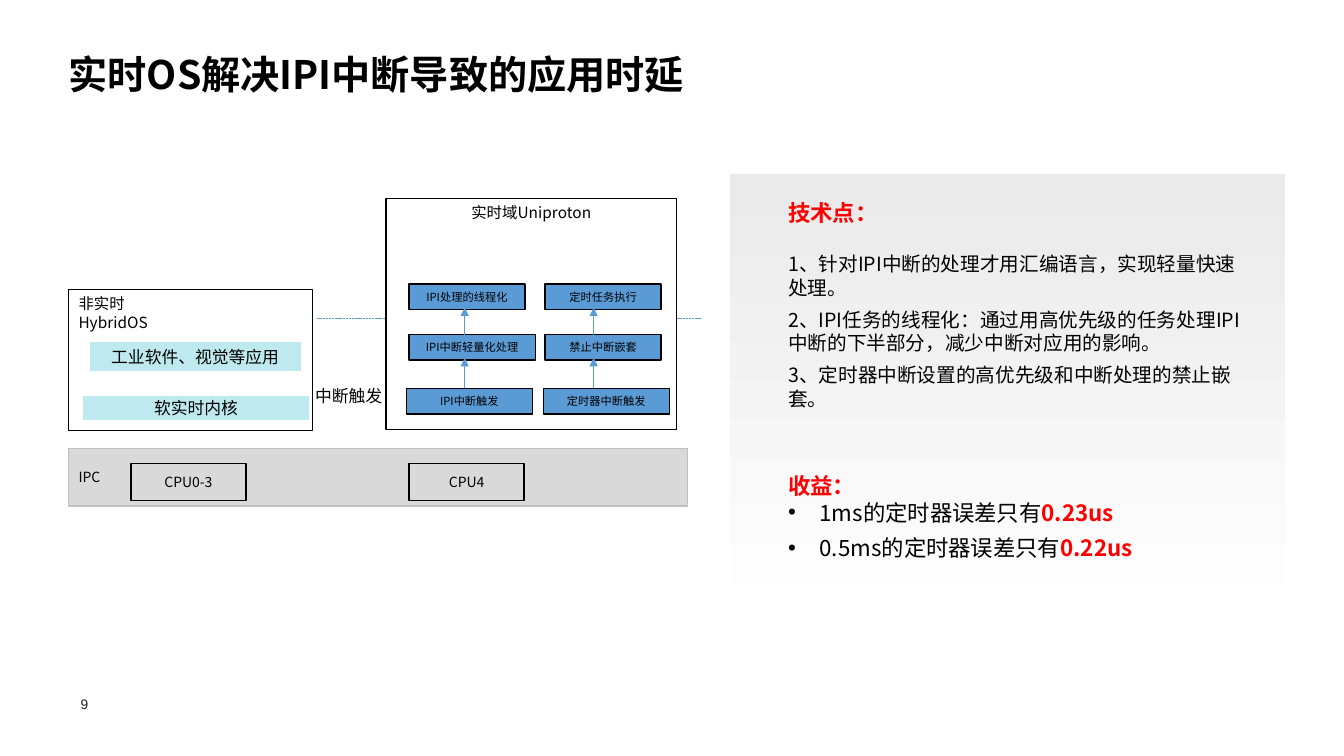
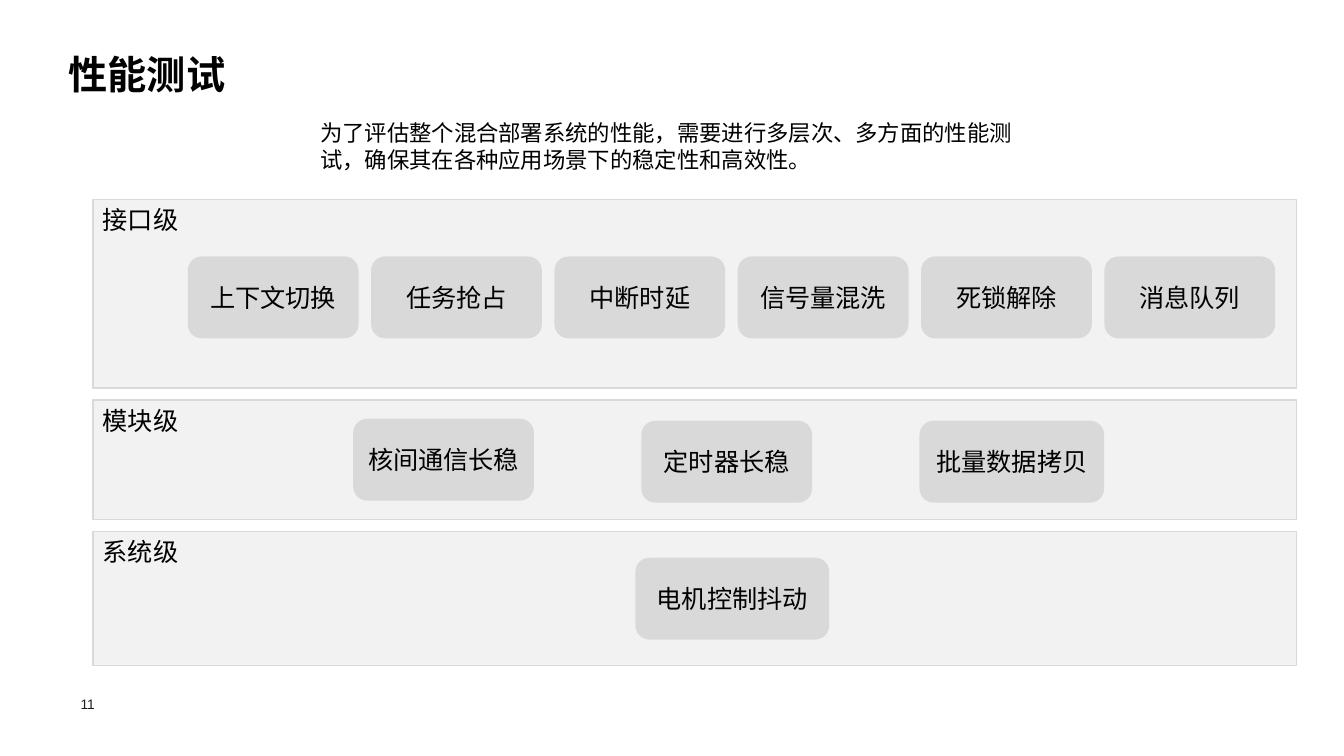
from lxml import etree
from pptx import Presentation
from pptx.dml.color import RGBColor
from pptx.enum.dml import MSO_LINE
from pptx.enum.shapes import MSO_CONNECTOR, MSO_SHAPE
from pptx.enum.text import MSO_ANCHOR, MSO_AUTO_SIZE, PP_ALIGN
from pptx.oxml.ns import qn
from pptx.util import Cm, Pt

BLACK = RGBColor(0x00, 0x00, 0x00)
WHITE = RGBColor(0xFF, 0xFF, 0xFF)
RED = RGBColor(0xFF, 0x00, 0x00)
BLUE = RGBColor(0x5B, 0x9B, 0xD5)
AQUA = RGBColor(0xBE, 0xE9, 0xEE)
PALE_GREY = RGBColor(0xF2, 0xF2, 0xF2)
GRADIENT_GREY = RGBColor(0xEA, 0xEA, 0xEA)
GREY = RGBColor(0xD9, 0xD9, 0xD9)
EDGE_GREY = RGBColor(0xBF, 0xBF, 0xBF)
FOOTER_GREY = RGBColor(0x1D, 0x1D, 0x1B)

FONT = "Noto Sans CJK SC"
FOOTER_FONT = "Arial"
LINE_FACTOR = 1.2

LEFT, CENTER = PP_ALIGN.LEFT, PP_ALIGN.CENTER
TOP, MIDDLE = MSO_ANCHOR.TOP, MSO_ANCHOR.MIDDLE
NO_AUTOFIT = MSO_AUTO_SIZE.NONE
RECTANGLE = MSO_SHAPE.RECTANGLE
ROUNDED = MSO_SHAPE.ROUNDED_RECTANGLE
PROCESS = MSO_SHAPE.FLOWCHART_PROCESS
STRAIGHT = MSO_CONNECTOR.STRAIGHT
DASH = MSO_LINE.SQUARE_DOT

TITLE_LAYOUT, CONTENT_LAYOUT = 5, 1
TITLE_BOX = (1.73, 1.27, 29.82, 1.96)
PAGE_BOX = (2.03, 17.53, 1.4, 0.41)


def place(shape, box):
    shape.left, shape.top, shape.width, shape.height = map(Cm, box)


def set_margins(frame, horizontal, vertical):
    frame.margin_left = frame.margin_right = Cm(horizontal)
    frame.margin_top = frame.margin_bottom = Cm(vertical)


def add_run(paragraph, text, size, color=BLACK, bold=False, font_name=FONT):
    run = paragraph.add_run()
    run.text = text
    font = run.font
    font.size, font.bold, font.name = Pt(size), bold, font_name
    font.color.rgb = color
    east_asian = etree.SubElement(run._r.get_or_add_rPr(), qn("a:ea"))
    east_asian.set("typeface", font_name)


def format_paragraph(paragraph, size, align=LEFT, before=0, after=0):
    paragraph.alignment = align
    paragraph.line_spacing = Pt(round(size * LINE_FACTOR, 1))
    paragraph.space_before, paragraph.space_after = Pt(before), Pt(after)


def fill_text(frame, lines, size, align=LEFT, anchor=TOP, **style):
    """Write one paragraph per line, all in the same style."""
    frame.word_wrap = True
    frame.auto_size = NO_AUTOFIT
    frame.vertical_anchor = anchor
    for index, line in enumerate(lines):
        paragraph = frame.add_paragraph() if index else frame.paragraphs[0]
        format_paragraph(paragraph, size, align)
        add_run(paragraph, line, size, **style)


def set_list_marker(paragraph, bullet=None, indent=0.0):
    properties = paragraph._p.get_or_add_pPr()
    properties.set("marL", str(Cm(indent)))
    properties.set("indent", str(-Cm(indent)))
    if bullet:
        etree.SubElement(properties, qn("a:buFont")).set("typeface", FOOTER_FONT)
        etree.SubElement(properties, qn("a:buChar")).set("char", bullet)
    else:
        etree.SubElement(properties, qn("a:buNone"))


def add_box(slide, box, lines=(), size=11, fill=None, line=BLACK,
            kind=RECTANGLE, align=CENTER, anchor=MIDDLE):
    shape = slide.shapes.add_shape(kind, *map(Cm, box))
    shape.shadow.inherit = False
    if fill is None:
        shape.fill.background()
    else:
        shape.fill.solid()
        shape.fill.fore_color.rgb = fill
    shape.line.color.rgb = line
    shape.line.width = Pt(1)
    fill_text(shape.text_frame, lines, size, align, anchor)
    return shape


def add_label(slide, box, text, size, **style):
    label = slide.shapes.add_textbox(*map(Cm, box))
    fill_text(label.text_frame, [text], size, **style)
    return label


def add_line(slide, start, end, arrow=False):
    connector = slide.shapes.add_connector(
        STRAIGHT, *map(Cm, start), *map(Cm, end))
    connector.line.color.rgb = BLUE
    connector.line.width = Pt(0.5)
    properties = connector._element.spPr
    if arrow:
        tail = etree.SubElement(connector.line._get_or_add_ln(), qn("a:tailEnd"))
        tail.set("type", "triangle")
    else:
        connector.line.dash_style = DASH
    etree.SubElement(properties, qn("a:effectLst"))


def add_titled_slide(presentation, layout, title, page):
    slide = presentation.slides.add_slide(presentation.slide_layouts[layout])
    heading = slide.shapes.title
    place(heading, TITLE_BOX)
    set_margins(heading.text_frame, 0, 0)
    fill_text(heading.text_frame, [title], 28, bold=True)
    number = add_label(slide, PAGE_BOX, page, 9.8, color=FOOTER_GREY,
                       font_name=FOOTER_FONT)
    set_margins(number.text_frame, 0, 0)
    return slide


def add_gradient_panel(slide, box):
    panel = add_box(slide, box)
    panel.line.fill.background()
    panel.fill.gradient()
    panel.fill.gradient_angle = 270
    for stop, color in zip(panel.fill.gradient_stops, (GRADIENT_GREY, WHITE)):
        stop.color.rgb = color


def add_flow(slide, arrow_x, nodes):
    """Stack (left, width, text) nodes from top to bottom, with arrows going up."""
    tops, height = (7.16, 8.43, 9.79), 0.64
    for (left, width, text), top in zip(nodes, tops):
        add_box(slide, (left, top, width, height), [text], 8, BLUE)
    for upper, lower in zip(tops, tops[1:]):
        add_line(slide, (arrow_x, lower), (arrow_x, upper + height - 0.05), True)


def fill_findings(body):
    """Write the technique and benefit list into the body placeholder."""
    place(body, (19.61, 4.88, 11.99, 9.3))
    frame = body.text_frame
    frame.word_wrap, frame.auto_size = True, NO_AUTOFIT
    frame.vertical_anchor = TOP
    techniques = (
        "1、针对IPI中断的处理才用汇编语言，实现轻量快速处理。",
        "2、IPI任务的线程化：通过用高优先级的任务处理IPI中断的下半部分，减少中断对应用的影响。",
        "3、定时器中断设置的高优先级和中断处理的禁止嵌套。",
    )
    benefits = (("1ms的定时器误差只有", "0.23us"),
                ("0.5ms的定时器误差只有", "0.22us"))

    def add_heading(paragraph, text, before, after):
        set_list_marker(paragraph)
        format_paragraph(paragraph, 16, before=before, after=after)
        add_run(paragraph, text, 16, RED, True)

    add_heading(frame.paragraphs[0], "技术点：", 0, 19)
    for technique in techniques:
        paragraph = frame.add_paragraph()
        set_list_marker(paragraph)
        format_paragraph(paragraph, 14, after=6)
        add_run(paragraph, technique, 14)
    add_heading(frame.add_paragraph(), "收益：", 38, 0)
    for description, value in benefits:
        paragraph = frame.add_paragraph()
        set_list_marker(paragraph, "•", 0.79)
        format_paragraph(paragraph, 16, after=6)
        add_run(paragraph, description, 16)
        add_run(paragraph, value, 16, RED, True)


def build_interrupt_slide(presentation):
    slide = add_titled_slide(presentation, CONTENT_LAYOUT,
                             "实时OS解决IPI中断导致的应用时延", "9")
    add_gradient_panel(slide, (18.39, 4.39, 14, 11.4))
    body = slide.placeholders[1]
    slide.shapes._spTree.append(body._element)
    fill_findings(body)

    add_line(slide, (8, 8.03), (17.65, 8.03))
    add_box(slide, (1.73, 11.3, 15.6, 1.45), ["IPC"], 10, GREY, EDGE_GREY,
            PROCESS, LEFT)
    for left, name in ((3.3, "CPU0-3"), (10.31, "CPU4")):
        add_box(slide, (left, 11.68, 2.9, 0.94), [name], 10)

    add_box(slide, (9.73, 5, 7.32, 5.82), ["实时域Uniproton"], 11, WHITE,
            kind=PROCESS, anchor=TOP)
    add_flow(slide, 11.71, ((10.31, 2.92, "IPI处理的线程化"),
                            (10.31, 3.18, "IPI中断轻量化处理"),
                            (10.24, 3.18, "IPI中断触发")))
    add_flow(slide, 14.96, ((13.74, 2.92, "定时任务执行"),
                            (13.74, 2.92, "禁止中断嵌套"),
                            (13.69, 3.18, "定时器中断触发")))

    add_box(slide, (1.73, 7.29, 6.15, 3.56), ["非实时", "HybridOS"], 11, WHITE,
            kind=PROCESS, align=LEFT, anchor=TOP)
    add_box(slide, (2.24, 8.61, 5.36, 0.76), ["工业软件、视觉等应用"], 12, AQUA, WHITE)
    add_box(slide, (2.08, 9.96, 5.72, 0.64), ["软实时内核"], 12, AQUA, WHITE)
    trigger = add_label(slide, (7.67, 9.6, 2.24, 0.76), "中断触发", 12,
                        align=CENTER, anchor=MIDDLE)
    trigger.text_frame.word_wrap = False


def add_tile(slide, left, top, width, text):
    tile = add_box(slide, (left, top, width, 2.03), [text], 18, GREY, GREY, ROUNDED)
    set_margins(tile.text_frame, 0, 0.13)


def build_test_slide(presentation):
    slide = add_titled_slide(presentation, TITLE_LAYOUT, "性能测试", "11")
    add_label(slide, (7.82, 2.87, 18.24, 1.63),
              "为了评估整个混合部署系统的性能，需要进行多层次、多方面的性能测试，"
              "确保其在各种应用场景下的稳定性和高效性。", 16)
    for name, top, height in (("接口级", 5.03, 4.75), ("模块级", 10.08, 3.02),
                              ("系统级", 13.39, 3.38)):
        add_box(slide, (2.34, top, 30.33, height), [name], 18, PALE_GREY, GREY,
                align=LEFT, anchor=TOP)

    interface_tests = ("上下文切换", "任务抢占", "中断时延", "信号量混洗",
                       "死锁解除", "消息队列")
    for column, text in enumerate(interface_tests):
        add_tile(slide, 4.75 + column * 4.62, 6.48, 4.27, text)
    for tile in ((8.92, 10.57, 4.52, "核间通信长稳"),
                 (16.18, 10.62, 4.27, "定时器长稳"),
                 (23.19, 10.62, 4.62, "批量数据拷贝"),
                 (16.03, 14.07, 4.85, "电机控制抖动")):
        add_tile(slide, *tile)


def main():
    presentation = Presentation()
    presentation.slide_width, presentation.slide_height = Cm(33.87), Cm(19.05)
    build_interrupt_slide(presentation)
    build_test_slide(presentation)
    presentation.save("out.pptx")


if __name__ == "__main__":
    main()
